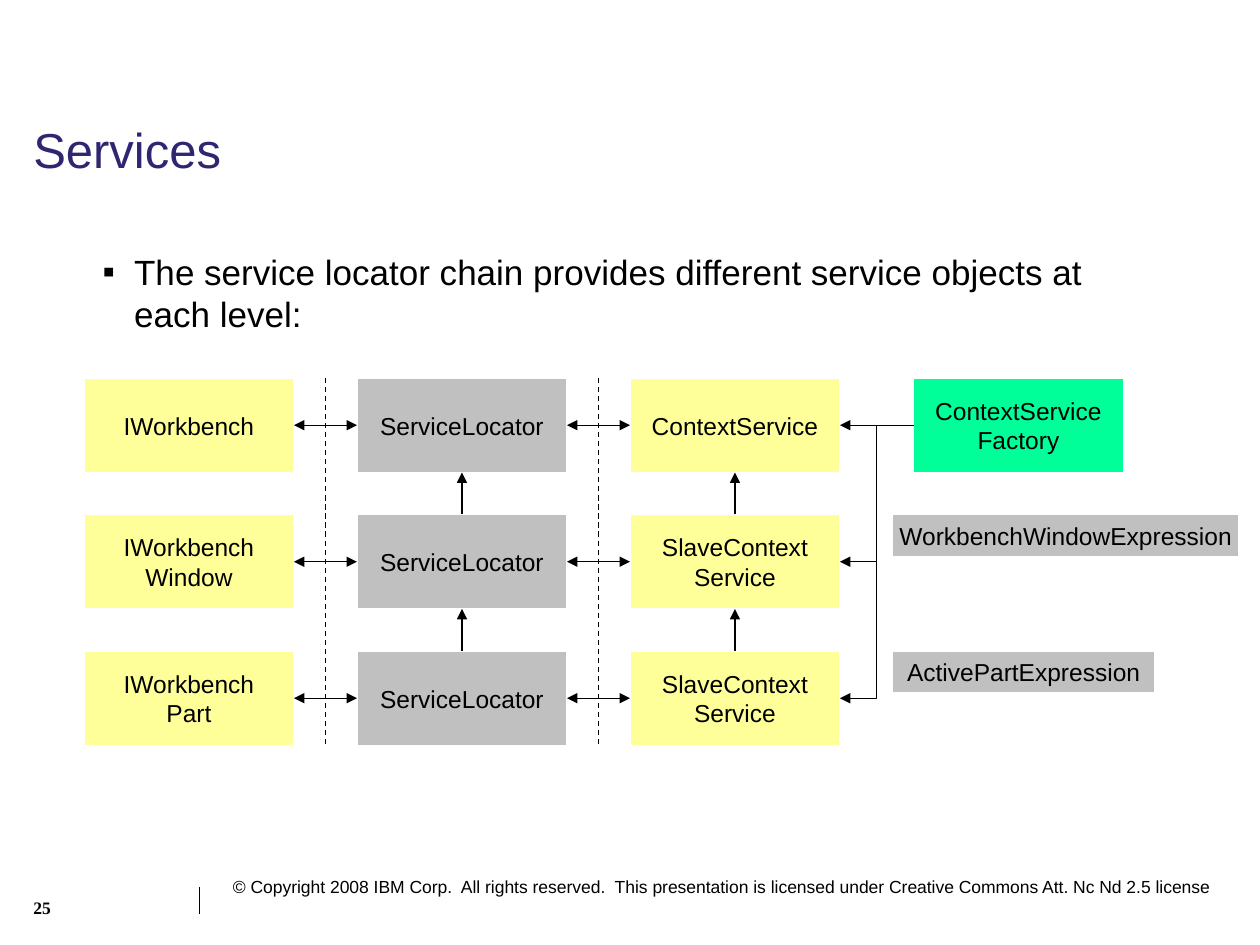
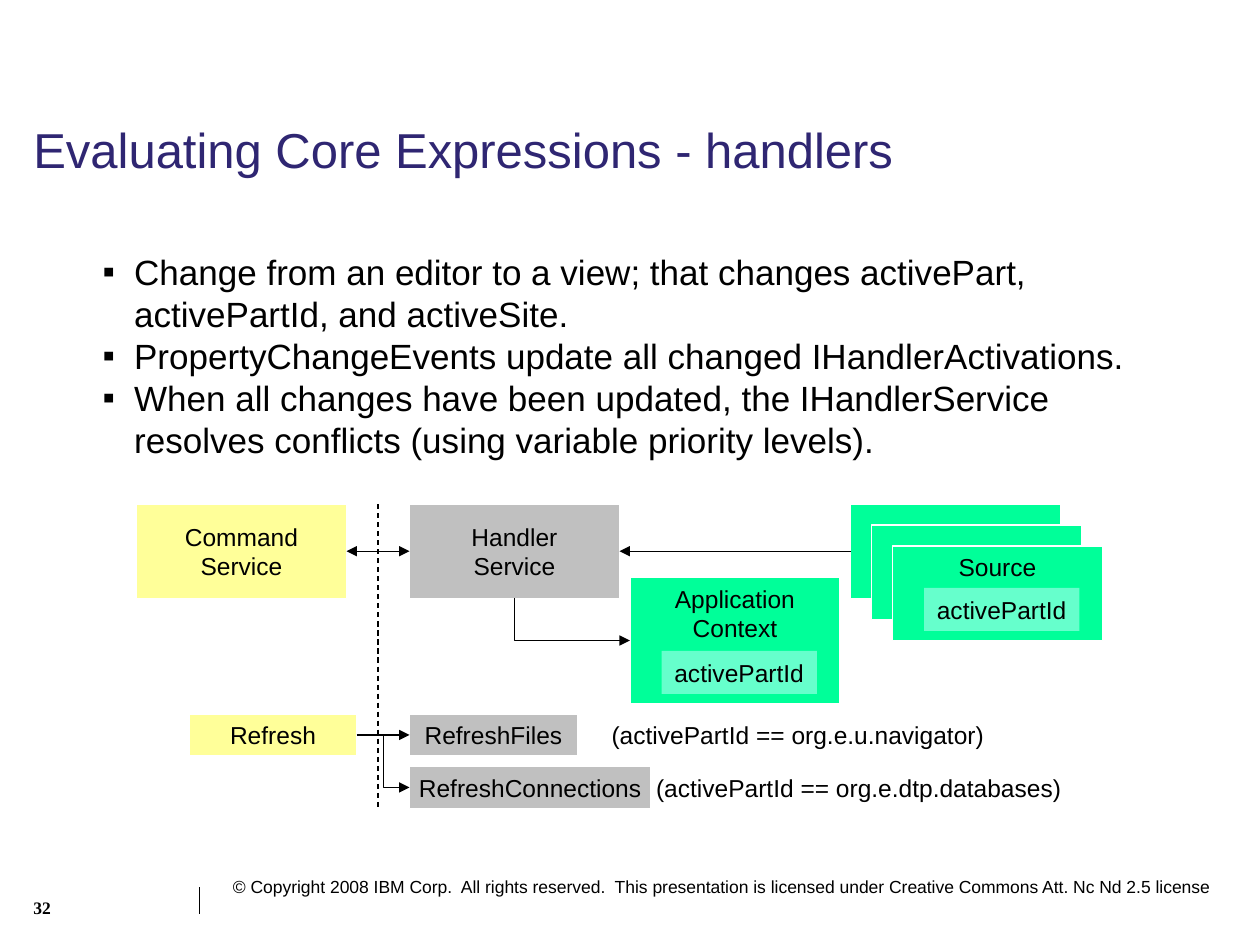
import pptx
import pptx.dml.color
import pptx.enum.dml
import pptx.enum.shapes
import pptx.enum.text
import pptx.oxml.ns
import pptx.util
import lxml.etree

COLORS = {
    "ink": "000000",
    "title": "2F2672",
    "edge": "FFFFFF",
    "api": "FFFF99",
    "service": "C0C0C0",
    "context": "00FF99",
    "variable": "66FFCC",
}
COPYRIGHT = (
    "© Copyright 2008 IBM Corp.  All rights reserved.  This presentation is "
    "licensed under Creative Commons Att. Nc Nd 2.5 license"
)
CELL = pptx.util.Inches(1) // 12
COLUMNS, ROWS = 120, 90
BOX_WIDTH, BOX_HEIGHT, BAR_HEIGHT = 20, 9, 4
TOP, LEFT, BOTTOM, RIGHT = range(4)
ALIGN = pptx.enum.text.PP_ALIGN
ANCHOR = pptx.enum.text.MSO_ANCHOR
CONNECTOR = pptx.enum.shapes.MSO_CONNECTOR


def rgb(name):
    """Return the named colour."""
    return pptx.dml.color.RGBColor.from_string(COLORS[name])


def cells(*counts):
    """Turn counts of grid cells into lengths."""
    return [round(count * CELL) for count in counts]


def add_xml(parent, tag, **attributes):
    """Append a drawing element and return it."""
    return lxml.etree.SubElement(parent, pptx.oxml.ns.qn(tag), attributes)


class Deck:
    """Holds the shared style and the current slide."""

    def __init__(self):
        """Start a presentation that is 120 columns by 90 rows."""
        self.presentation = pptx.Presentation()
        self.presentation.slide_width, self.presentation.slide_height = cells(COLUMNS, ROWS)
        self.slide = None

    def start_slide(self, title, number, points):
        """Add a slide with its title, bullet points and footer."""
        self.slide = self.presentation.slides.add_slide(self.presentation.slide_layouts[6])
        self.line((19, 84.5), (19, 87))
        self.text((21, 82.8, 99, 3.2), [COPYRIGHT], 10)
        self.text((2, 11.4, 108.2, 6.6), [title], 28, color="title", spacing=0.9)
        self.text((8.6, 23.3, 101.5, 51.2), points, 20, bullets=True)
        self.text((2, 84.8, 13.2, 4.2), [number], 10, font="Times New Roman", bold=True)

    def set_lines(self, frame, lines, size, color="ink", font="Arial", bold=False,
                  align=ALIGN.LEFT, spacing=None, bullets=False):
        """Fill a text frame, one paragraph a line."""
        for index, words in enumerate(lines):
            paragraph = frame.paragraphs[0] if index == 0 else frame.add_paragraph()
            if bullets:
                self.bullet(paragraph)
            paragraph.alignment = align
            if spacing:
                paragraph.line_spacing = spacing
            run = paragraph.add_run()
            run.text = words
            run.font.size = pptx.util.Pt(size)
            run.font.name = font
            run.font.bold = bold
            run.font.color.rgb = rgb(color)

    def bullet(self, paragraph):
        """Give a paragraph a square bullet and a hanging indent."""
        properties = paragraph._p.get_or_add_pPr()
        properties.set("marL", str(3 * CELL))
        properties.set("indent", str(-3 * CELL))
        add_xml(add_xml(properties, "a:buClr"), "a:srgbClr", val=COLORS["ink"])
        add_xml(properties, "a:buFont", typeface="Arial")
        add_xml(properties, "a:buChar", char="▪")

    def text(self, area, lines, size, wrap=True, **style):
        """Add a text box."""
        frame = self.slide.shapes.add_textbox(*cells(*area)).text_frame
        frame.word_wrap = wrap
        self.set_lines(frame, lines, size, **style)

    def label(self, area, words):
        """Add a centred diagram label."""
        self.text(area, [words], 14, wrap=False, align=ALIGN.CENTER)

    def box(self, column, row, lines, color, width=BOX_WIDTH, height=BOX_HEIGHT,
            anchor=ANCHOR.MIDDLE, edge=True):
        """Add a filled rectangle with centred text."""
        shape = self.slide.shapes.add_shape(
            pptx.enum.shapes.MSO_SHAPE.RECTANGLE, *cells(column, row, width, height))
        shape.shadow.inherit = False
        shape.fill.solid()
        shape.fill.fore_color.rgb = rgb(color)
        if edge:
            shape.line.color.rgb = rgb("edge")
            shape.line.width = pptx.util.Pt(0.75)
        else:
            shape.line.fill.background()
        shape.text_frame.word_wrap = False
        shape.text_frame.vertical_anchor = anchor
        self.set_lines(shape.text_frame, lines, 14, align=ALIGN.CENTER)
        return shape

    def bar(self, column, row, words, color, width):
        """Add a low rectangle with one line of text."""
        return self.box(column, row, [words], color, width, BAR_HEIGHT)

    def variable(self, column, row):
        """Add the tag of the activePartId variable."""
        self.box(column, row, ["activePartId"], "variable", 14.8, 4.1, edge=False)

    def line(self, start, end, kind=CONNECTOR.STRAIGHT, dashed=False):
        """Add a thin line between two grid points."""
        connector = self.slide.shapes.add_connector(kind, *cells(*start, *end))
        connector.line.color.rgb = rgb("ink")
        connector.line.width = pptx.util.Pt(0.75)
        if dashed:
            connector.line.dash_style = pptx.enum.dml.MSO_LINE.DASH
        add_xml(connector._element.spPr, "a:effectLst")
        return connector

    def join(self, source, source_side, target, target_side,
             kind=CONNECTOR.STRAIGHT, ends=("tailEnd",), corner=False):
        """Connect two rectangles with an arrow."""
        connector = self.line((0, 0), (0, 0), kind)
        connector.begin_connect(source, source_side)
        connector.end_connect(target, target_side)
        if corner:
            geometry = connector._element.spPr.find(pptx.oxml.ns.qn("a:prstGeom"))
            geometry.set("prst", "bentConnector2")
        for end in ends:
            add_xml(connector.line._get_or_add_ln(), f"a:{end}", type="triangle")

    def exchange(self, left, right):
        """Connect two neighbours with a two-headed arrow."""
        self.join(left, RIGHT, right, LEFT, ends=("headEnd", "tailEnd"))


def build_services(deck):
    """Build the service locator chain."""
    deck.start_slide("Services", "25", [
        "The service locator chain provides different service objects at each level:"])
    columns, top, row_step = (8, 34, 60), 36, 13
    colors = ("api", "service", "api")
    levels = [
        (["IWorkbench"], ["ServiceLocator"], ["ContextService"]),
        (["IWorkbench", "Window"], ["ServiceLocator"], ["SlaveContext", "Service"]),
        (["IWorkbench", "Part"], ["ServiceLocator"], ["SlaveContext", "Service"]),
    ]
    chain = [
        [deck.box(column, top + level * row_step, lines, color)
         for column, lines, color in zip(columns, names, colors)]
        for level, names in enumerate(levels)
    ]
    for part, locator, service in chain:
        deck.exchange(part, locator)
        deck.exchange(locator, service)
    for parent, child in zip(chain, chain[1:]):
        for place in (1, 2):
            deck.join(child[place], TOP, parent[place], BOTTOM)
    for column in columns[1:]:
        deck.line((column - 3, top), (column - 3, top + 2 * row_step + BOX_HEIGHT), dashed=True)

    factory = deck.box(87, top, ["ContextService", "Factory"], "context")
    for level, (_, _, service) in enumerate(chain):
        kind = CONNECTOR.ELBOW if level else CONNECTOR.STRAIGHT
        deck.join(factory, LEFT, service, RIGHT, kind)
    deck.bar(85, top + row_step, "WorkbenchWindowExpression", "service", 33)
    deck.bar(85, top + 2 * row_step, "ActivePartExpression", "service", 25)


def build_handlers(deck):
    """Build the evaluation of handler expressions."""
    deck.start_slide("Evaluating Core Expressions - handlers", "32", [
        "Change from an editor to a view; that changes activePart, activePartId, and activeSite.",
        "PropertyChangeEvents update all changed IHandlerActivations.",
        "When all changes have been updated, the IHandlerService resolves conflicts "
        "(using variable priority levels).",
    ])
    top, handler_column, refresh_row = 48, 39, 68
    refresh = deck.bar(18, refresh_row, "Refresh", "api", 16)
    files = deck.bar(handler_column, refresh_row, "RefreshFiles", "service", 16)
    connections = deck.bar(handler_column, refresh_row + 5, "RefreshConnections", "service", 23)
    deck.join(refresh, RIGHT, files, LEFT)
    deck.join(refresh, RIGHT, connections, LEFT, CONNECTOR.ELBOW)
    deck.label((57, refresh_row, 38, 4.1), "(activePartId == org.e.u.navigator)")
    deck.label((61.3, refresh_row + 5, 41, 4.1), "(activePartId == org.e.dtp.databases)")

    command = deck.box(13, top, ["Command", "Service"], "api")
    handler = deck.box(handler_column, top, ["Handler", "Service"], "service")
    sources = [
        deck.box(81 + 2 * layer, top + 2 * layer, lines, "context", anchor=ANCHOR.TOP)
        for layer, lines in enumerate(([], [], ["Source"]))
    ]
    context = deck.box(60, 55, ["Application", "Context"], "context", height=12,
                       anchor=ANCHOR.TOP)
    deck.variable(63, 62)
    deck.variable(88, 56)
    deck.exchange(command, handler)
    deck.join(sources[0], LEFT, handler, RIGHT)
    deck.join(context, LEFT, handler, BOTTOM, CONNECTOR.ELBOW, ("headEnd",), corner=True)
    deck.line((36, top), (36, refresh_row + 9), dashed=True)


def main():
    """Build and save both slides."""
    deck = Deck()
    build_services(deck)
    build_handlers(deck)
    deck.presentation.save("out.pptx")


if __name__ == "__main__":
    main()
